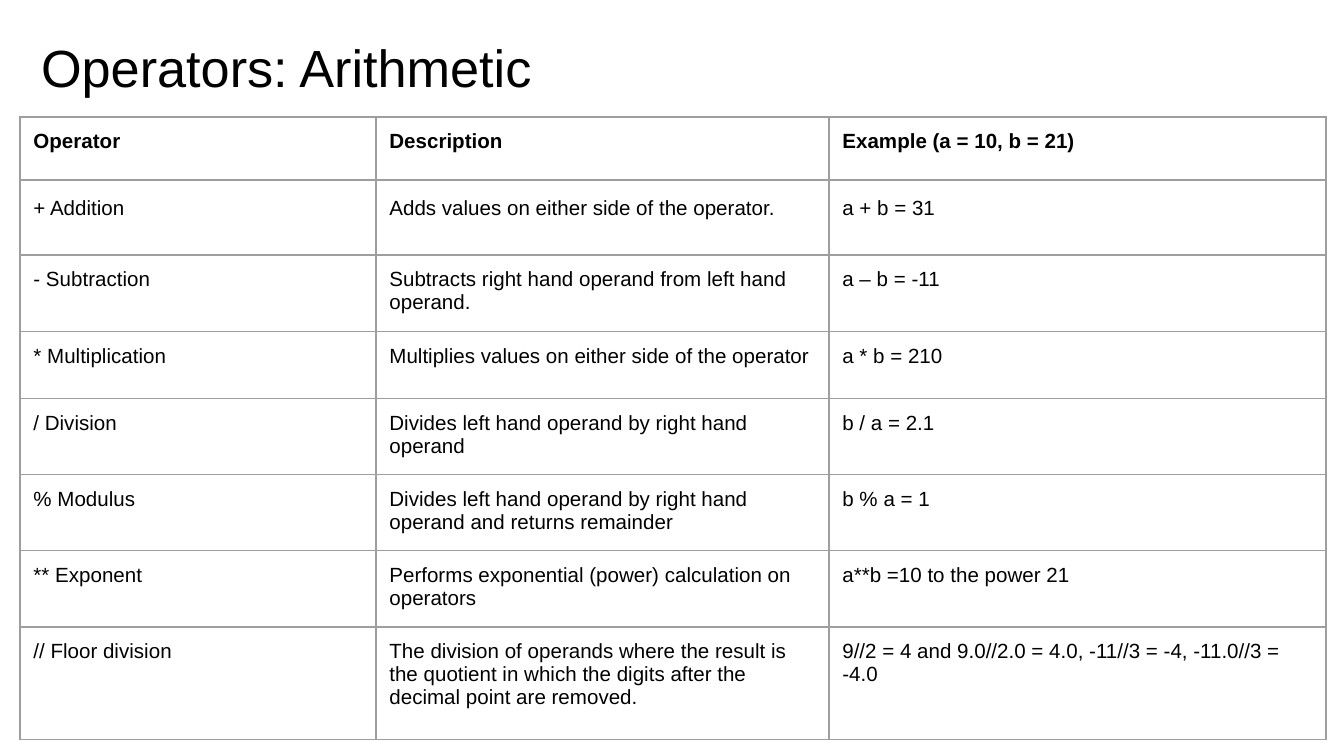
from lxml.etree import SubElement
from pptx import Presentation
from pptx.dml.color import RGBColor
from pptx.enum.text import MSO_ANCHOR
from pptx.oxml.ns import qn
from pptx.util import Emu, Pt

TITLE = "Operators: Arithmetic"
HEADER = ("Operator", "Description", "Example (a = 10, b = 21)")
OPERATORS = [
    ("+ Addition", "Adds values on either side of the operator.", "a + b = 31"),
    ("- Subtraction", "Subtracts right hand operand from left hand operand.", "a – b = -11"),
    ("* Multiplication", "Multiplies values on either side of the operator", "a * b = 210"),
    ("/ Division", "Divides left hand operand by right hand operand", "b / a = 2.1"),
    ("% Modulus", "Divides left hand operand by right hand operand and returns remainder", "b % a = 1"),
    ("** Exponent", "Performs exponential (power) calculation on operators", "a**b =10 to the power 21"),
    (
        "// Floor division",
        "The division of operands where the result is the quotient in which "
        "the digits after the decimal point are removed.",
        "9//2 = 4 and 9.0//2.0 = 4.0, -11//3 = -4, -11.0//3 = -4.0",
    ),
]
COLUMN_WIDTHS = (356, 453, 497)
ROW_HEIGHTS = (63, 75, 75, 67, 75, 75, 75, 113)
INSET = 13.44
COLORS = {"text": "000000", "border": "9E9E9E", "background": "FFFFFF"}
FONT = "Arial"


def px(length):
    return Emu(round(length * 914400 / 134.4))


def write(frame, text, size=11, bold=False, spacing=None, top=INSET):
    frame.word_wrap = True
    frame.margin_left = frame.margin_right = frame.margin_bottom = px(INSET)
    frame.margin_top = px(top)
    paragraph = frame.paragraphs[0]
    if spacing:
        paragraph.line_spacing = spacing
    run = paragraph.add_run()
    run.text = text
    run.font.name = FONT
    run.font.size = Pt(size)
    run.font.bold = bold
    run.font.color.rgb = RGBColor.from_string(COLORS["text"])


def outline(cell):
    properties = cell._tc.get_or_add_tcPr()
    for side in ("a:lnL", "a:lnR", "a:lnT", "a:lnB"):
        line = SubElement(properties, qn(side), w=str(Pt(0.75)))
        fill = SubElement(line, qn("a:solidFill"))
        SubElement(fill, qn("a:srgbClr"), val=COLORS["border"])


def main():
    deck = Presentation()
    deck.slide_width, deck.slide_height = px(1344), px(756)
    slide = deck.slides.add_slide(deck.slide_layouts[6])
    slide.background.fill.solid()
    slide.background.fill.fore_color.rgb = RGBColor.from_string(COLORS["background"])

    title = slide.shapes.add_textbox(px(28), px(15), px(1253), px(85))
    write(title.text_frame, TITLE, size=28, top=20)

    rows = [HEADER, *OPERATORS]
    table = slide.shapes.add_table(
        len(rows), len(HEADER), px(20), px(117),
        px(sum(COLUMN_WIDTHS)), px(sum(ROW_HEIGHTS)),
    ).table
    for column, width in zip(table.columns, COLUMN_WIDTHS):
        column.width = px(width)
    for row, height in zip(table.rows, ROW_HEIGHTS):
        row.height = px(height)

    for r, texts in enumerate(rows):
        for c, text in enumerate(texts):
            cell = table.cell(r, c)
            write(cell.text_frame, text, bold=r == 0, spacing=1.15 if r == 1 else None)
            cell.margin_left = cell.margin_right = px(INSET)
            cell.margin_top = cell.margin_bottom = px(INSET)
            cell.vertical_anchor = MSO_ANCHOR.TOP
            outline(cell)
            cell.fill.background()

    deck.save("out.pptx")


if __name__ == "__main__":
    main()
